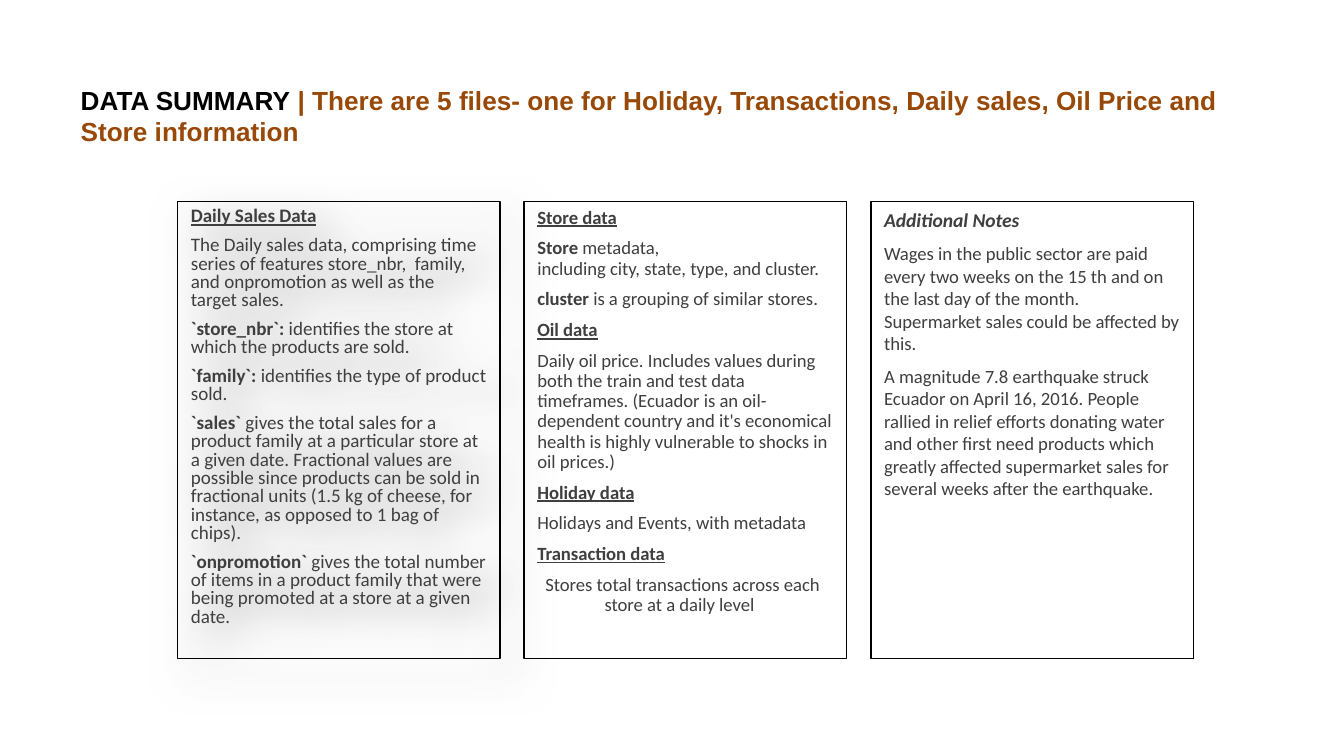
from dataclasses import dataclass

from lxml import etree
from pptx import Presentation
from pptx.dml.color import RGBColor
from pptx.enum.shapes import MSO_SHAPE
from pptx.enum.text import MSO_ANCHOR, MSO_AUTO_SIZE, PP_ALIGN
from pptx.oxml.ns import qn
from pptx.util import Inches, Pt

BOX = MSO_SHAPE.RECTANGLE
TOP, MIDDLE = MSO_ANCHOR.TOP, MSO_ANCHOR.MIDDLE
LEFT = PP_ALIGN.LEFT
FIXED = MSO_AUTO_SIZE.NONE
GLUE = chr(160)


@dataclass(frozen=True)
class Theme:
    black: str = "000000"
    brown: str = "984807"
    text: str = "3F3F3F"
    shade: str = "333333"
    head_font: str = "Arial"
    body_font: str = "Calibri"
    title: float = 14
    sales: float = 10.2
    body: float = 10
    notes: float = 10.5
    gap: float = 5.6
    line: float = 0.75


THEME = Theme()
WIDE = 10
HIGH = WIDE * 9 / 16
GRID_LEFT, GRID_TOP = 1.32, 1.5
STEP, CARD_WIDE, CARD_HIGH = 2.58, 2.4, 3.4

TITLE = [
    ("DATA SUMMARY~", THEME.black),
    ("| There are 5 files- one for Holiday, Transactions, Daily sales, "
     "Oil Price and Store information", THEME.brown),
]

SALES = [
    ("Daily Sales Data", ""),
    ("", "The Daily sales data, comprising time series of features~store_nbr,~~family, "
         "and~onpromotion~as well as the target~sales."),
    ("`store_nbr`:~", "identifies the store at which the products are sold."),
    ("`family`:~", "identifies the type of product sold."),
    ("`sales`~", "gives the total sales for a product family at a particular store at a "
                 "given date. Fractional values are possible since products can be sold in "
                 "fractional units (1.5 kg of cheese, for instance, as opposed to 1 bag of chips)."),
    ("`onpromotion`~", "gives the total number of items in a product family that were being "
                       "promoted at a store at a given date."),
]

FILES = [
    ("Store data", ""),
    ("Store ", "metadata, including~city,~state,~type, and~cluster."),
    ("cluster~", "is a grouping of similar stores."),
    ("Oil data", ""),
    ("", "Daily oil price. Includes values during both the train and test data timeframes. "
         "(Ecuador is an oil-dependent country and it's economical health is highly "
         "vulnerable to shocks in oil prices.)"),
    ("Holiday data", ""),
    ("", "Holidays and Events, with metadata"),
    ("Transaction data", ""),
    ("", "Stores total transactions across each store at a daily level"),
]

NOTES = [
    ("Additional Notes", ""),
    ("", "Wages in the public sector are paid every two weeks on the 15 th and on the last "
         "day of the month. Supermarket sales could be affected by this."),
    ("", "A magnitude 7.8 earthquake struck Ecuador on April 16, 2016. People rallied in "
         "relief efforts donating water and other first need products which greatly affected "
         "supermarket sales for several weeks after the earthquake."),
]


def place(shape, left, top, wide, high):
    shape.left, shape.top = Inches(left), Inches(top)
    shape.width, shape.height = Inches(wide), Inches(high)


def add_run(para, text, font, size, color, bold):
    run = para.add_run()
    run.text = text.replace("~", GLUE)
    run.font.name = font
    run.font.size = Pt(size)
    run.font.bold = bold
    run.font.color.rgb = RGBColor.from_string(color)
    return run


def set_frame(shape, anchor):
    frame = shape.text_frame
    frame.word_wrap = True
    frame.auto_size = FIXED
    frame.vertical_anchor = anchor
    return frame


def indent(para, left, first):
    props = para._p.get_or_add_pPr()
    props.set("marL", str(Inches(left)))
    props.set("indent", str(Inches(first)))
    if props.find(qn("a:buNone")) is None:
        etree.SubElement(props, qn("a:buNone"))


def cast_shade(shape):
    shape.shadow.inherit = False
    effects = shape._element.spPr.find(qn("a:effectLst"))
    shade = etree.SubElement(effects, qn("a:outerShdw"), blurRad=str(Pt(23)),
                             dist=str(Pt(11)), dir="2700000", algn="tl", rotWithShape="0")
    color = etree.SubElement(shade, qn("a:srgbClr"), val=THEME.shade)
    etree.SubElement(color, qn("a:alpha"), val="65000")


def fill_title(shape):
    place(shape, 0.05 * WIDE, 0.09 * HIGH, 0.9 * WIDE, 0.71)
    para = set_frame(shape, MIDDLE).paragraphs[0]
    para.alignment = LEFT
    for text, color in TITLE:
        add_run(para, text, THEME.head_font, THEME.title, color, True)


def fill_card(shape, col, items, size, head_size, space, slant=False):
    place(shape, GRID_LEFT + col * STEP, GRID_TOP, CARD_WIDE, CARD_HIGH)
    shape.fill.background()
    shape.line.color.rgb = RGBColor.from_string(THEME.black)
    shape.line.width = Pt(THEME.line)
    frame = set_frame(shape, TOP)
    for row, (lead, rest) in enumerate(items):
        para = frame.add_paragraph() if row else frame.paragraphs[0]
        para.alignment = LEFT
        para.line_spacing = space
        para.space_before = Pt(THEME.gap if row else 0)
        indent(para, 0, 0)
        if lead:
            run = add_run(para, lead, THEME.body_font, size if rest else head_size,
                          THEME.text, True)
            if not rest:
                run.font.italic = slant
                run.font.underline = not slant
        if rest:
            add_run(para, rest, THEME.body_font, size, THEME.text, False)
    return frame


def main():
    deck = Presentation()
    deck.slide_width, deck.slide_height = Inches(WIDE), Inches(HIGH)
    slide = deck.slides.add_slide(deck.slide_layouts[1])
    fill_title(slide.shapes.title)

    sales = slide.placeholders[1]
    fill_card(sales, 0, SALES, THEME.sales, THEME.sales, 0.8)
    cast_shade(sales)

    files, notes = [slide.shapes.add_shape(BOX, 0, 0, 0, 0) for _ in range(2)]
    for card in (files, notes):
        card.shadow.inherit = False
    frame = fill_card(files, 1, FILES, THEME.body, THEME.body, 0.9)
    indent(frame.paragraphs[-1], 0.5, -0.44)
    fill_card(notes, 2, NOTES, THEME.body, THEME.notes, 1.0, slant=True)

    deck.save("out.pptx")


if __name__ == "__main__":
    main()
